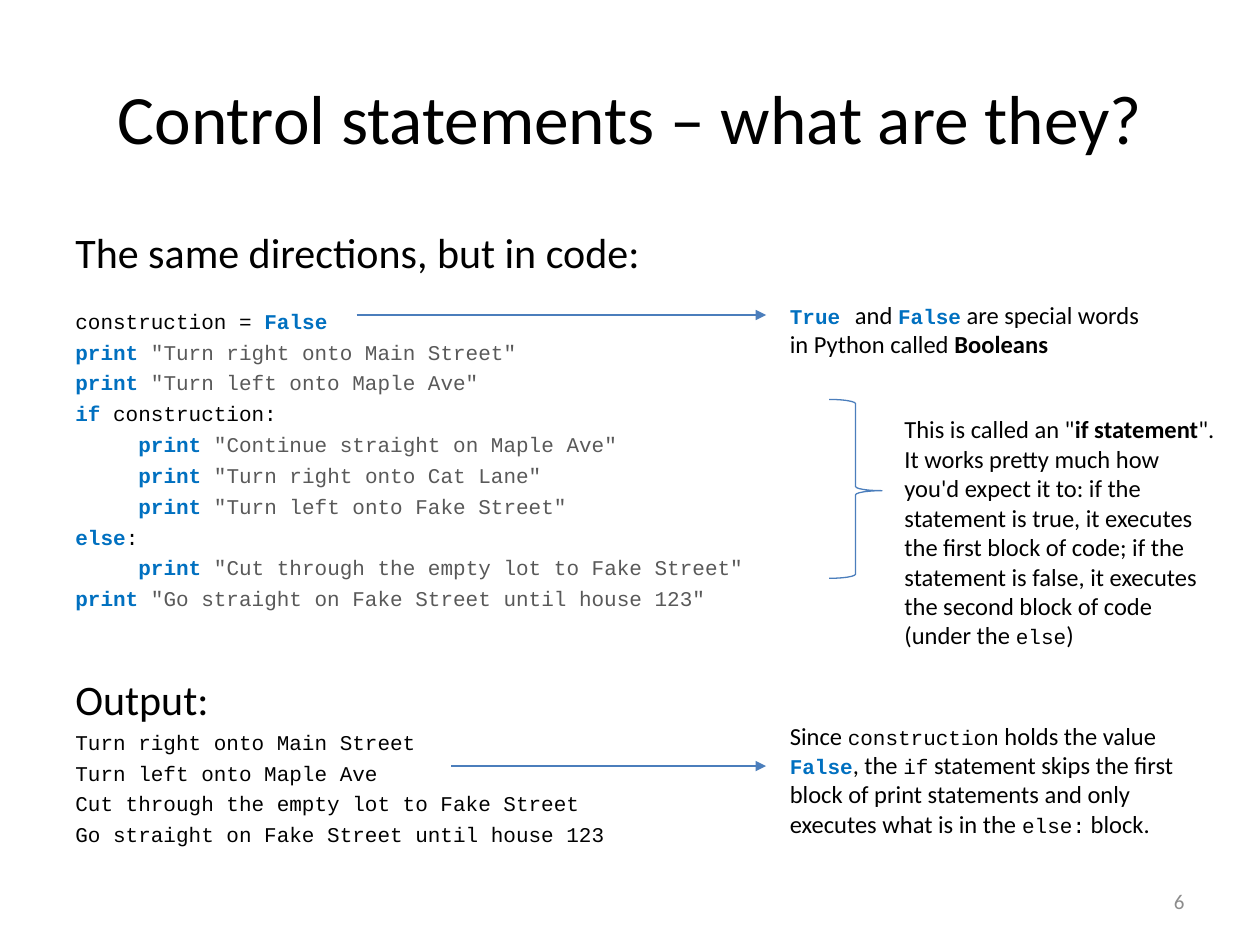
from lxml import etree
from pptx import Presentation
from pptx.dml.color import RGBColor
from pptx.enum.shapes import MSO_CONNECTOR, MSO_SHAPE
from pptx.enum.text import MSO_ANCHOR, PP_ALIGN
from pptx.oxml.ns import qn
from pptx.util import Inches, Pt

LEFT, CENTER, RIGHT = PP_ALIGN.LEFT, PP_ALIGN.CENTER, PP_ALIGN.RIGHT
TOP, MIDDLE = MSO_ANCHOR.TOP, MSO_ANCHOR.MIDDLE
LINE_COLOR = "4B7EBC"

# Text styles: font, size, colour, bold
STYLES = {
    "title": ("Calibri", 39.6, "000000", False),
    "heading": ("Calibri", 24, "000000", False),
    "number": ("Calibri", 12, "8C8C8C", False),
    "note": ("Calibri", 14, "000000", False),
    "strong": ("Calibri", 14, "000000", True),
    "code": ("Courier New", 12, "000000", False),
    "wide": ("Courier New", 14, "000000", False),
    "keyword": ("Courier New", 12, "0070C0", True),
    "string": ("Courier New", 12, "595959", False),
}

# Content: each paragraph is a list of (text, style)
TITLE = [("Control statements – what are they?", "title")]
NUMBER = [("6", "number")]


def print_line(message, indent=""):
    return [(indent + "print ", "keyword"), (f'"{message}"', "string")]


CODE = [
    [("construction = ", "code"), ("False", "keyword")],
    print_line("Turn right onto Main Street"),
    print_line("Turn left onto Maple Ave"),
    [("if", "keyword"), (" construction:", "code")],
    print_line("Continue straight on Maple Ave", "\t"),
    print_line("Turn right onto Cat Lane", "\t"),
    print_line("Turn left onto Fake Street", "\t"),
    [("else", "keyword"), (":", "code")],
    print_line("Cut through the empty lot to Fake Street", "\t"),
    print_line("Go straight on Fake Street until house 123"),
]
OUTPUT = [
    "Turn right onto Main Street",
    "Turn left onto Maple Ave",
    "Cut through the empty lot to Fake Street",
    "Go straight on Fake Street until house 123",
]
BODY = [
    [("The same directions, but in code:", "heading")],
    *CODE,
    [("Output:", "heading")],
    *([(line, "code")] for line in OUTPUT),
]
# Space before in points; wider gaps open the code and output sections
LINE_GAP = 3.2
BODY_GAPS = [LINE_GAP] * len(BODY)
BODY_GAPS[1] = 17.9
BODY_GAPS[1 + len(CODE)] = 35.7

BOOLEANS = [
    ("True", "keyword"), (" ", "wide"), ("and ", "note"), ("False", "keyword"),
    (" are special words in Python called ", "note"), ("Booleans", "strong"),
]
IF_STATEMENT = [
    ('This is called an "', "note"), ("if statement", "strong"),
    ('". It works pretty much how you\'d expect it to: if the statement is true, '
     "it executes the first block of code; if the statement is false, it executes "
     "the second block of code (under the ", "note"),
    ("else", "code"), (")", "note"),
]
RESULT = [
    ("Since ", "note"), ("construction", "code"), (" holds the value ", "note"),
    ("False", "keyword"), (", the ", "note"), ("if", "code"),
    (" statement skips the first block of print statements and only executes "
     "what is in the ", "note"),
    ("else:", "code"), (" block.", "note"),
]

# Text boxes: left, top, width, height, paragraphs, gaps, alignment, anchor
TEXTS = [
    (0.5, 1.75, 9, 5.25, BODY, BODY_GAPS, LEFT, TOP),
    (0.5, 0.3, 9, 1.25, [TITLE], [0], CENTER, MIDDLE),
    (7.17, 6.95, 2.33, 0.4, [NUMBER], [0], RIGHT, MIDDLE),
    (6.17, 2.33, 3.08, 0.57, [BOOLEANS], [0], LEFT, TOP),
    (7.08, 3.24, 2.67, 1.99, [IF_STATEMENT], [0], LEFT, TOP),
    (6.17, 5.67, 3.33, 1.04, [RESULT], [0], LEFT, TOP),
]
BRACE = (6.58, 3.17, 0.42, 1.42)
ARROW_END = 6.08
ARROWS = [(2.83, 2.5), (3.58, 6.08)]  # start, height on the slide


def color(value):
    return RGBColor.from_string(value)


def add_text(slide, left, top, width, height, paragraphs, gaps, alignment, anchor):
    box = slide.shapes.add_textbox(*map(Inches, (left, top, width, height)))
    frame = box.text_frame
    frame.word_wrap = True
    frame.vertical_anchor = anchor
    frame.text = "\n".join("" for _ in paragraphs)
    for paragraph, runs, gap in zip(frame.paragraphs, paragraphs, gaps):
        paragraph.alignment = alignment
        paragraph.space_before = Pt(gap)
        for text, style in runs:
            run = paragraph.add_run()
            run.text = text
            font = run.font
            font.name, size, fill, font.bold = STYLES[style]
            font.size = Pt(size)
            font.color.rgb = color(fill)


def add_arrow(slide, start, height):
    arrow = slide.shapes.add_connector(
        MSO_CONNECTOR.STRAIGHT, *map(Inches, (start, height, ARROW_END, height)))
    arrow.line.color.rgb = color(LINE_COLOR)
    arrow.line.width = Pt(1)
    line = arrow.line._get_or_add_ln()
    etree.SubElement(line, qn("a:tailEnd"), type="triangle")
    etree.SubElement(arrow._element.spPr, qn("a:effectLst"))


presentation = Presentation()
presentation.slide_width, presentation.slide_height = Inches(10), Inches(7.5)
slide = presentation.slides.add_slide(presentation.slide_layouts[6])

# Title, body, notes and slide number
for text_box in TEXTS:
    add_text(slide, *text_box)

# Brace around the if statement
brace = slide.shapes.add_shape(MSO_SHAPE.RIGHT_BRACE, *map(Inches, BRACE))
brace.shadow.inherit = False
brace.fill.background()
brace.line.color.rgb = color(LINE_COLOR)
brace.line.width = Pt(0.75)
brace.adjustments[0], brace.adjustments[1] = 0.08, 0.51

# Arrows from the code to the notes
for start, height in ARROWS:
    add_arrow(slide, start, height)

presentation.save("out.pptx")
